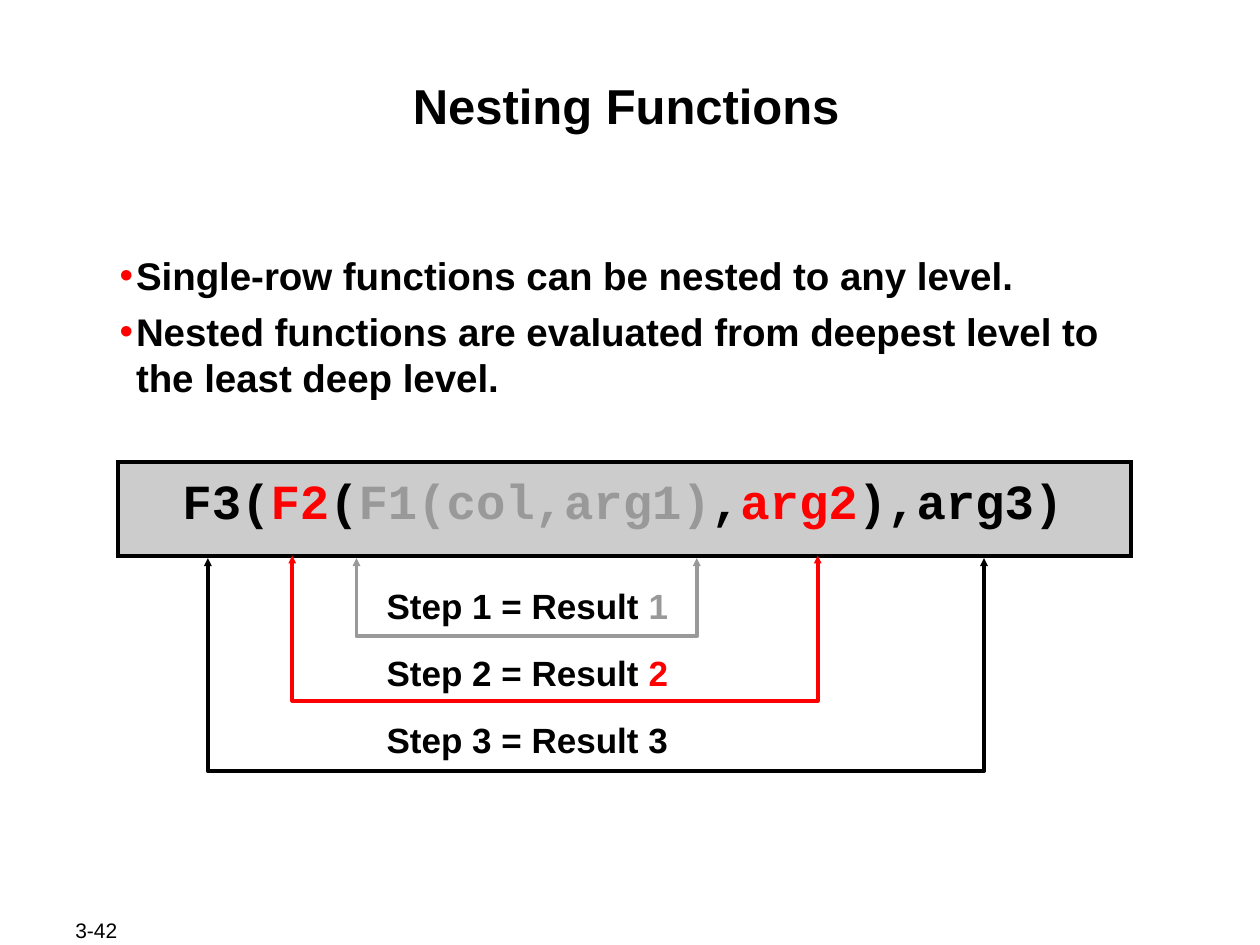
from lxml import etree
from pptx import Presentation
from pptx.dml.color import RGBColor
from pptx.enum.shapes import MSO_SHAPE
from pptx.enum.text import MSO_ANCHOR, MSO_AUTO_SIZE, PP_ALIGN
from pptx.oxml.ns import qn
from pptx.util import Inches, Pt

RECT = MSO_SHAPE.RECTANGLE
MIDDLE = MSO_ANCHOR.MIDDLE
GROW = MSO_AUTO_SIZE.SHAPE_TO_FIT_TEXT
CENTER, JUSTIFY = PP_ALIGN.CENTER, PP_ALIGN.JUSTIFY
CELL = 0.1  # inches per column and row
COLS, ROWS = 100, 75
BLACK, RED, GREY, PALE = "000000", "FF0000", "999999", "CCCCCC"
TIGHT = (0.01, 0.01)
LOOSE = (0.1, 0.05)


def color(code):
    return RGBColor.from_string(code)


def assign(thing, values):
    for name, value in values.items():
        setattr(thing, name, value)


def part(box, col, row, cols, rows):
    """Box in grid cells, counted from the corner of an outer box."""
    return box[0] + col, box[1] + row, cols, rows


def lengths(box):
    return [Inches(cells * CELL) for cells in box]


def add_text(slide, box, lines, size, font="Arial", bold=True, pad=LOOSE,
             frame=None, para=None):
    """Text box whose lines are lists of (text, colour) runs."""
    area = slide.shapes.add_textbox(*lengths(box)).text_frame
    side, edge = map(Inches, pad)
    assign(area, {"margin_left": side, "margin_right": side,
                  "margin_top": edge, "margin_bottom": edge,
                  "word_wrap": True, **(frame or {})})
    for i, line in enumerate(lines):
        item = area.add_paragraph() if i else area.paragraphs[0]
        assign(item, para or {})
        for text, code in line:
            run = item.add_run()
            run.text = text
            assign(run.font, {"name": font, "size": Pt(size), "bold": bold})
            run.font.color.rgb = color(code)
    return area


def add_bullet(item, indent, code):
    props = item._p.get_or_add_pPr()
    props.set("marL", str(Inches(indent)))
    props.set("indent", str(-Inches(indent)))
    tint = etree.SubElement(props, qn("a:buClr"))
    etree.SubElement(tint, qn("a:srgbClr"), val=code)
    etree.SubElement(props, qn("a:buFont"), typeface="Arial")
    etree.SubElement(props, qn("a:buChar"), char="•")


def add_title(slide, box):
    add_text(slide, box, [[("Nesting Functions", BLACK)]], 28, pad=TIGHT,
             para={"alignment": CENTER, "space_before": Pt(7)})


def add_points(slide, box):
    lines = ("Single-row functions can be nested to any level.",
             "Nested functions are evaluated from deepest level to "
             "the least deep level.")
    area = add_text(slide, box, [[(line, BLACK)] for line in lines], 22,
                    pad=TIGHT, para={"space_before": Pt(5.5)})
    for item in area.paragraphs:
        add_bullet(item, 0.13, RED)


def set_line(shape, code):
    shape.shadow.inherit = False
    shape.line.color.rgb = color(code)
    shape.line.width = Pt(2.25)


def add_code(slide, box):
    bar = slide.shapes.add_shape(RECT, *lengths(box))
    bar.fill.solid()
    bar.fill.fore_color.rgb = color(PALE)
    set_line(bar, BLACK)
    etree.SubElement(bar.line._get_or_add_ln(), qn("a:miter"), lim="800000")
    runs = [("F3(", BLACK), ("F2", RED), ("(", BLACK), ("F1(col,arg1)", GREY),
            (",", BLACK), ("arg2", RED), ("),arg3)", BLACK)]
    add_text(slide, part(box, 4.1, 1.8, 74, 4.1), [runs], 28,
             font="Courier New", frame={"word_wrap": False},
             para={"line_spacing": Pt(22), "space_before": Pt(17.5)})


def add_bracket(slide, box, code):
    """Open U with an arrowhead at both upper ends."""
    left, top, wide, high = lengths(box)
    pen = slide.shapes.build_freeform(left, top)
    pen.add_line_segments([(left, top + high), (left + wide, top + high),
                           (left + wide, top)], close=False)
    shape = pen.convert_to_shape()
    shape.fill.background()
    set_line(shape, code)
    line = shape.line._get_or_add_ln()
    for end in ("a:headEnd", "a:tailEnd"):
        etree.SubElement(line, qn(end), type="triangle", w="sm", len="sm")


def add_steps(slide, box):
    """Nested brackets, each with its step label above the base."""
    spans = ((11.8, 0.2, 27, 6.2), (6.7, 0, 41.7, 11.5), (0, 0.2, 61.6, 16.9))
    for i, (span, code) in enumerate(zip(spans, (GREY, RED, BLACK))):
        add_bracket(slide, part(box, *span), code)
        label = part(box, 13.2, 1.8 + 5.3 * i, 24.4, 4.3)
        add_text(slide, label,
                 [[(f"Step {i + 1} = Result ", BLACK), (str(i + 1), code)]],
                 20, frame={"word_wrap": False, "auto_size": GROW})


def add_number(slide, box):
    add_text(slide, box, [[("3-42", BLACK)]], 12, bold=False,
             frame={"word_wrap": False, "vertical_anchor": MIDDLE},
             para={"alignment": JUSTIFY})


def main():
    deck = Presentation()
    deck.slide_width, deck.slide_height = lengths((COLS, ROWS))
    slide = deck.slides.add_slide(deck.slide_layouts[6])
    page = (0, 0, COLS, ROWS)
    regions = (
        (add_number, (5, 72.8, 10.6, 2)),
        (add_title, (9.7, 5.9, 80, 9.6)),
        (add_points, (9.4, 19.9, 80.6, 12)),
        (add_code, (9.4, 36.7, 80.4, 7.4)),
        (add_steps, (16.5, 44.1, 61.6, 17.1)),
    )
    for add, area in regions:
        add(slide, part(page, *area))
    deck.save("out.pptx")


if __name__ == "__main__":
    main()
